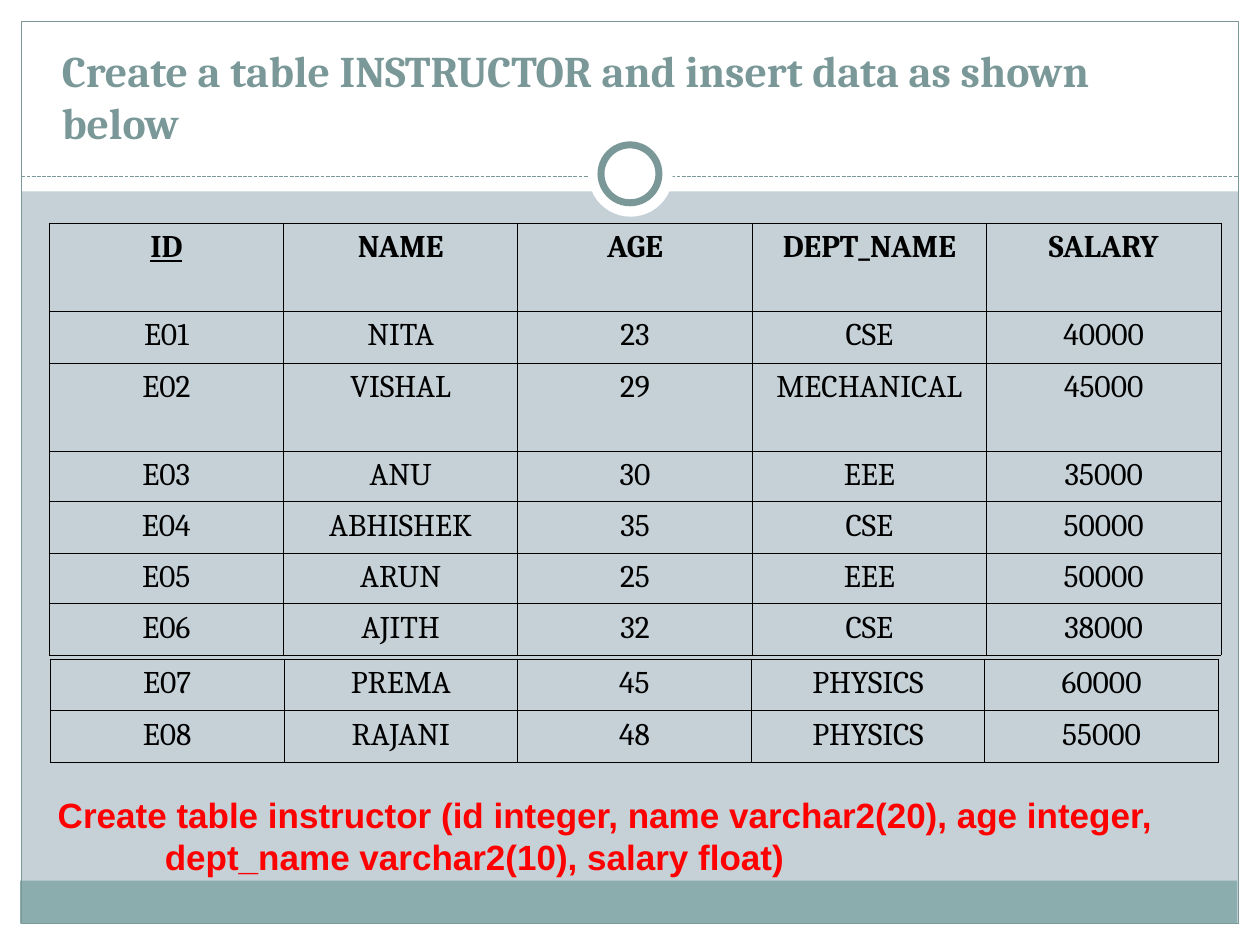
"""Build the INSTRUCTOR table slide."""
from lxml import etree
from pptx import Presentation
from pptx.dml.color import RGBColor
from pptx.enum.dml import MSO_LINE
from pptx.enum.shapes import MSO_CONNECTOR, MSO_SHAPE
from pptx.enum.text import MSO_ANCHOR, MSO_AUTO_SIZE, PP_ALIGN
from pptx.oxml import parse_xml
from pptx.oxml.ns import nsdecls, qn
from pptx.util import Inches, Pt

RECT, OVAL = MSO_SHAPE.RECTANGLE, MSO_SHAPE.OVAL
LINE, DASH = MSO_CONNECTOR.STRAIGHT, MSO_LINE.SQUARE_DOT
LEFT, MID = PP_ALIGN.LEFT, PP_ALIGN.CENTER
TOP, BASE = MSO_ANCHOR.TOP, MSO_ANCHOR.BOTTOM
FIXED = MSO_AUTO_SIZE.NONE

HUES = {
    "ground": "C5D1D7", "white": "FFFFFF", "band": "8CADAE",
    "slate": "7B9899", "black": "000000", "red": "FF0000",
}

TITLE = "Create a table INSTRUCTOR and insert data as shown below"
QUERY = ("Create table instructor (id integer, name varchar2(20), "
         "age integer, dept_name varchar2(10), salary float)")
HEADS = ("ID", "NAME", "AGE", "DEPT_NAME", "SALARY")
STAFF = [
    ("E01", "NITA", "23", "CSE", "40000"),
    ("E02", "VISHAL", "29", "MECHANICAL", "45000"),
    ("E03", "ANU", "30", "EEE", "35000"),
    ("E04", "ABHISHEK", "35", "CSE", "50000"),
    ("E05", "ARUN", "25", "EEE", "50000"),
    ("E06", "AJITH", "32", "CSE", "38000"),
]
ADDED = [
    ("E07", "PREMA", "45", "PHYSICS", "60000"),
    ("E08", "RAJANI", "48", "PHYSICS", "55000"),
]

GRIDS = [
    {"rows": [HEADS] + STAFF, "at": (0.39, 1.77), "wide": 9.3,
     "tall": (0.7, 0.41, 0.7, 0.4, 0.41, 0.4, 0.41), "head": True},
    {"rows": ADDED, "at": (0.4, 5.23), "wide": 9.27,
     "tall": (0.41, 0.41), "head": False},
]

FRAME = [
    (RECT, (0, 7.33, 10, 0.17), "white", None),
    (RECT, (0, 0, 10, 1.52), "white", None),
    (RECT, (0, 0, 0.17, 7.5), "white", None),
    (RECT, (9.83, 0, 0.17, 7.5), "white", None),
    (RECT, (0.16, 6.99, 9.66, 0.34), "band", None),
    (RECT, (0.17, 0.17, 9.66, 7.16), None, 0.75),
]
RINGS = [
    (OVAL, (4.67, 1.05, 0.67, 0.67), "white", None),
    (OVAL, (4.77, 1.15, 0.46, 0.46), "white", 4),
]

TITLE_FONT = {"name": "Cambria", "size": Pt(25), "bold": True}
QUERY_FONT = {"name": "Arial", "size": Pt(20), "bold": True}
CELL_FONT = {"name": "Cambria", "size": Pt(18)}
PAD = {"margin_left": Inches(0.1), "margin_right": Inches(0.1),
       "margin_top": Inches(0.05), "margin_bottom": Inches(0.05)}


def hue(name):
    return RGBColor.from_string(HUES[name])


def apply(item, values):
    for key, value in values.items():
        setattr(item, key, value)


def write(frame, text, font, tone, align):
    frame.text = text
    para = frame.paragraphs[0]
    para.alignment = align
    face = para.runs[0].font
    apply(face, font)
    face.color.rgb = hue(tone)
    return para


def add_parts(shapes, parts):
    for kind, box, fill, width in parts:
        shape = shapes.add_shape(kind, *map(Inches, box))
        shape.shadow.inherit = False
        if fill:
            shape.fill.solid()
            shape.fill.fore_color.rgb = hue(fill)
        else:
            shape.fill.background()
        if width:
            shape.line.color.rgb = hue("slate")
            shape.line.width = Pt(width)
        else:
            shape.line.fill.background()


def add_rule(shapes):
    ends = map(Inches, (0.17, 1.4, 9.83, 1.4))
    rule = shapes.add_connector(LINE, *ends)
    rule.line.color.rgb = hue("slate")
    apply(rule.line, {"width": Pt(0.75), "dash_style": DASH})
    etree.SubElement(rule.element.spPr, qn("a:effectLst"))


def set_edges(cell):
    props = cell._tc.get_or_add_tcPr()
    for side in "LRTB":
        props.append(parse_xml(
            f'<a:ln{side} {nsdecls("a")} w="{Pt(0.45)}"><a:solidFill>'
            f'<a:srgbClr val="{HUES["black"]}"/></a:solidFill></a:ln{side}>'))


def add_grid(shapes, rows, at, wide, tall, head):
    count = len(HEADS)
    box = map(Inches, (*at, wide, sum(tall)))
    table = shapes.add_table(len(rows), count, *box).table
    apply(table, {"first_row": head, "horz_banding": False})
    for col in table.columns:
        col.width = Inches(wide / count)
    for r, (row, high) in enumerate(zip(rows, tall)):
        table.rows[r].height = Inches(high)
        for c, text in enumerate(row):
            cell = table.cell(r, c)
            set_edges(cell)
            cell.fill.background()
            apply(cell, PAD)
            top = head and r == 0
            font = {**CELL_FONT, "bold": top, "underline": top and c == 0}
            write(cell.text_frame, text, font, "black", MID)


def add_title(shapes):
    title = shapes.title
    shapes.element.append(title.element)
    apply(title, dict(zip(("left", "top", "width", "height"),
                          map(Inches, (0.39, 0.44, 9, 0.79)))))
    frame = title.text_frame
    apply(frame, {**PAD, "word_wrap": True, "auto_size": FIXED,
                  "vertical_anchor": BASE})
    write(frame, TITLE, TITLE_FONT, "slate", LEFT)


def add_query(shapes):
    box = shapes.add_textbox(*map(Inches, (0.36, 6.25, 9.19, 0.77)))
    frame = box.text_frame
    apply(frame, {**PAD, "word_wrap": True, "vertical_anchor": TOP})
    para = write(frame, QUERY, QUERY_FONT, "red", LEFT)
    props = para._p.get_or_add_pPr()
    props.set("marL", str(Inches(0.85)))
    props.set("indent", str(-Inches(0.85)))


def main():
    deck = Presentation()
    apply(deck, {"slide_width": Inches(10), "slide_height": Inches(7.5)})
    slide = deck.slides.add_slide(deck.slide_layouts[5])
    slide.background.fill.solid()
    slide.background.fill.fore_color.rgb = hue("ground")
    shapes = slide.shapes
    add_parts(shapes, FRAME)
    add_rule(shapes)
    add_parts(shapes, RINGS)
    add_title(shapes)
    for grid in GRIDS:
        add_grid(shapes, **grid)
    add_query(shapes)
    deck.save("out.pptx")


if __name__ == "__main__":
    main()
